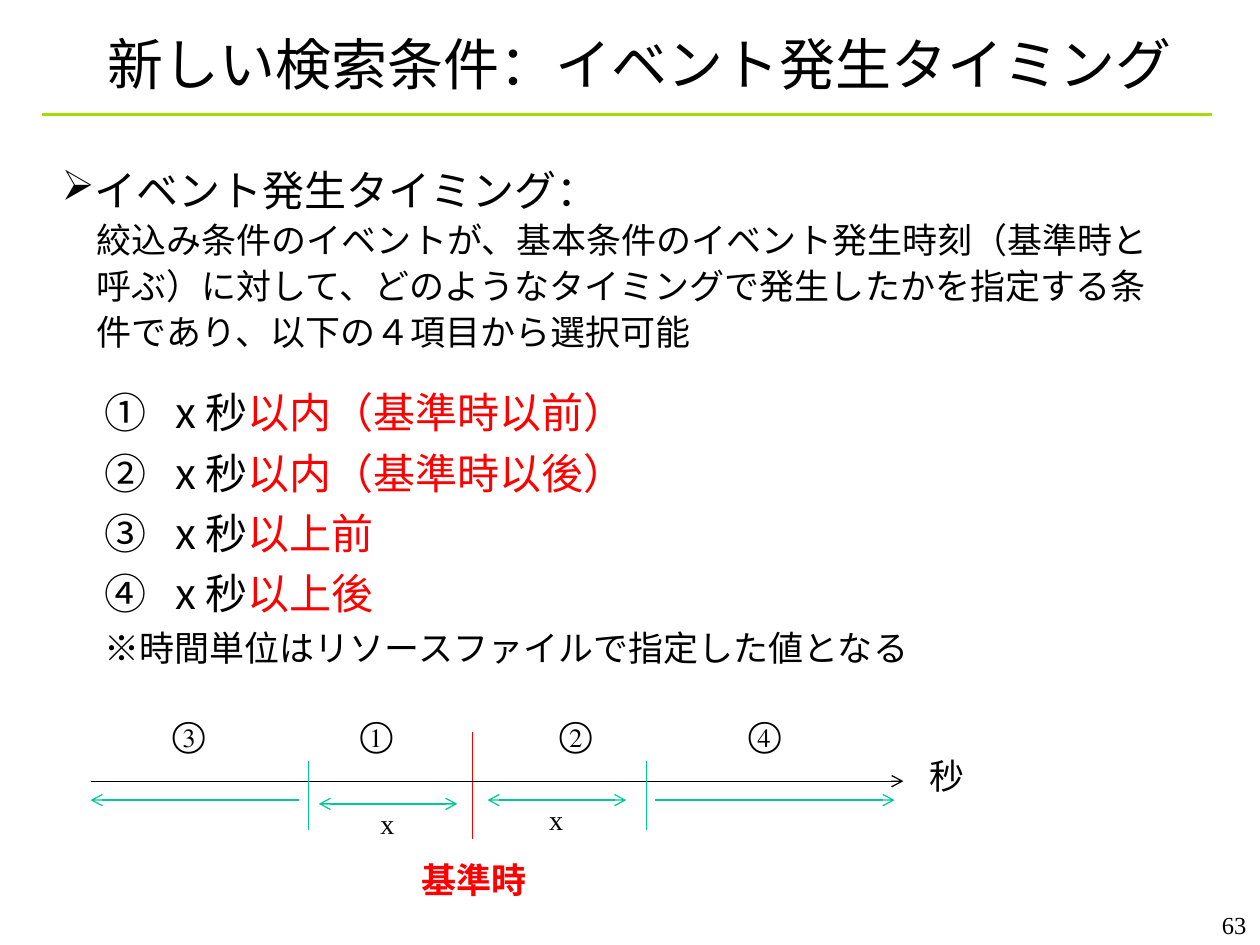
from dataclasses import dataclass

from lxml.etree import SubElement
from pptx import Presentation
from pptx.dml.color import RGBColor
from pptx.enum.shapes import MSO_CONNECTOR as CONN
from pptx.enum.text import MSO_ANCHOR as ANCHOR, MSO_AUTO_SIZE as FIT, PP_ALIGN as ALIGN
from pptx.oxml.ns import qn
from pptx.util import Inches, Pt


@dataclass(frozen=True)
class Theme:
    ink: str = "000000"
    accent: str = "FF0000"
    span: str = "00C896"
    rule: str = "A4DE00"
    title_font: str = "DejaVu Sans"
    list_font: str = "Noto Sans CJK JP"
    font: str = "Times New Roman"
    title: int = 32
    large: int = 24
    body: int = 20
    small: int = 16
    page: int = 14
    gap: float = 0.234


T = Theme()


def place(shape, left, top, width, height):
    shape.left, shape.top = Inches(left), Inches(top)
    shape.width, shape.height = Inches(width), Inches(height)


def write(p, text, size=T.body, font=T.font, color=T.ink, bold=False):
    r = p.add_run()
    r.text = text
    r.font.size, r.font.name, r.font.bold = Pt(size), font, bold
    r.font.color.rgb = RGBColor.from_string(color)


def set_bullet(p, tag, indent=0.0, **attrs):
    pPr = p._p.get_or_add_pPr()
    pPr.set("marL", str(Inches(indent)))
    pPr.set("indent", str(-Inches(indent)))
    SubElement(pPr, qn(f"a:{tag}"), attrs)


def next_paragraph(tf, index, size):
    p = tf.add_paragraph() if index else tf.paragraphs[0]
    p.space_before = Pt(round(size * T.gap, 1) if index else 0)
    return p


def add_text(s, box, text, wrap=True, align=ALIGN.LEFT, spacing=0.9, **style):
    tf = s.shapes.add_textbox(*map(Inches, box)).text_frame
    tf.word_wrap = wrap
    p = tf.paragraphs[0]
    p.alignment, p.line_spacing = align, spacing
    write(p, text, **style)


def add_line(s, start, end, color, width=0.75, head=False, tail=False):
    line = s.shapes.add_connector(CONN.STRAIGHT, *map(Inches, (*start, *end)))
    line.line.color.rgb = RGBColor.from_string(color)
    line.line.width = Pt(width)
    ln = line.line._get_or_add_ln()
    for tag, wanted in (("headEnd", head), ("tailEnd", tail)):
        if wanted:
            SubElement(ln, qn(f"a:{tag}"), type="arrow")
    SubElement(line._element.spPr, qn("a:effectLst"))


def add_title(s, box):
    title = s.shapes.title
    place(title, *box)
    tf = title.text_frame
    tf.word_wrap, tf.auto_size = True, FIT.NONE
    tf.vertical_anchor = ANCHOR.MIDDLE
    p = tf.paragraphs[0]
    p.alignment = ALIGN.LEFT
    write(p, "新しい検索条件：イベント発生タイミング", T.title, T.title_font)
    add_line(s, (0.33, 0.91), (9.62, 0.91), T.rule, 1.5)


def add_definition(s, box):
    tf = s.shapes.add_textbox(*map(Inches, box)).text_frame
    tf.word_wrap = True
    lines = (
        "イベント発生タイミング：",
        "　絞込み条件のイベントが、基本条件のイベント発生時刻（基準時と",
        "　呼ぶ）に対して、どのようなタイミングで発生したかを指定する条",
        "　件であり、以下の４項目から選択可能",
    )
    for i, text in enumerate(lines):
        size = T.body if i else T.large
        p = next_paragraph(tf, i, size)
        p.line_spacing = 0.9
        if i == 0:
            set_bullet(p, "buChar", char="➢")
        write(p, text, size)


def add_conditions(s, box):
    body = s.placeholders[1]
    place(body, *box)
    tf = body.text_frame
    tf.word_wrap, tf.auto_size = True, FIT.NONE
    conditions = ("以内（基準時以前）", "以内（基準時以後）", "以上前", "以上後")
    for i, condition in enumerate(conditions):
        p = next_paragraph(tf, i, T.large)
        set_bullet(p, "buAutoNum", 0.56, type="circleNumDbPlain")
        write(p, "x 秒", T.large, T.list_font)
        write(p, condition, T.large, T.list_font, T.accent)
    p = next_paragraph(tf, len(conditions), T.body)
    set_bullet(p, "buNone", 0.56)
    write(p, "※時間単位はリソースファイルで指定した値となる", T.body, T.list_font)


def add_timeline(s, left, top, width):
    axis, spans = top + 0.56, top + 0.71
    base = left + 3.03
    add_line(s, (base, top + 0.17), (base, top + 1.02), T.accent)
    add_line(s, (left, axis), (left + width, axis), T.ink, tail=True)
    for x in (1.73, 4.41):
        add_line(s, (left + x, top + 0.4), (left + x, top + 0.95), T.span)
    for start, end, dy, both in (
        (1.81, 3.15, 0.03, True), (3.15, 4.25, 0, True),
        (1.65, 0, 0, False), (4.48, 6.38, 0, False),
    ):
        if dy:
            end = start + 1.1
        add_line(s, (left + start, spans + dy), (left + end, spans + dy),
                 T.span, head=both, tail=True)
    for mark, x in (("③", 0.55), ("①", 2.04), ("②", 3.62), ("④", 5.12)):
        add_text(s, (left + x, top, 0.45, 0.4), mark, wrap=False)
    for x, dy in ((2.2, 0.74), (3.54, 0.71)):
        add_text(s, (left + x, top + dy, 0.39, 0.37), "x", size=T.small)
    add_text(s, (left + width + 0.11, top + 0.34, 0.48, 0.4), "秒", wrap=False)
    add_text(s, (left + 2.53, top + 1.16, 1.65, 0.4), "基準時",
             color=T.accent, bold=True)


def main():
    prs = Presentation()
    prs.slide_width, prs.slide_height = Inches(10), Inches(7.5)
    s = prs.slides.add_slide(prs.slide_layouts[1])
    add_title(s, (0.75, 0.25, 8.85, 0.5))
    add_definition(s, (0.39, 1.3, 8.86, 1.58))
    add_conditions(s, (0.73, 3.02, 6.9, 2.47))
    add_timeline(s, 0.72, 5.64, 6.45)
    add_text(s, (7.91, 7.17, 2.08, 0.33), "63", align=ALIGN.RIGHT,
             spacing=1.0, size=T.page)
    prs.save("out.pptx")


if __name__ == "__main__":
    main()
